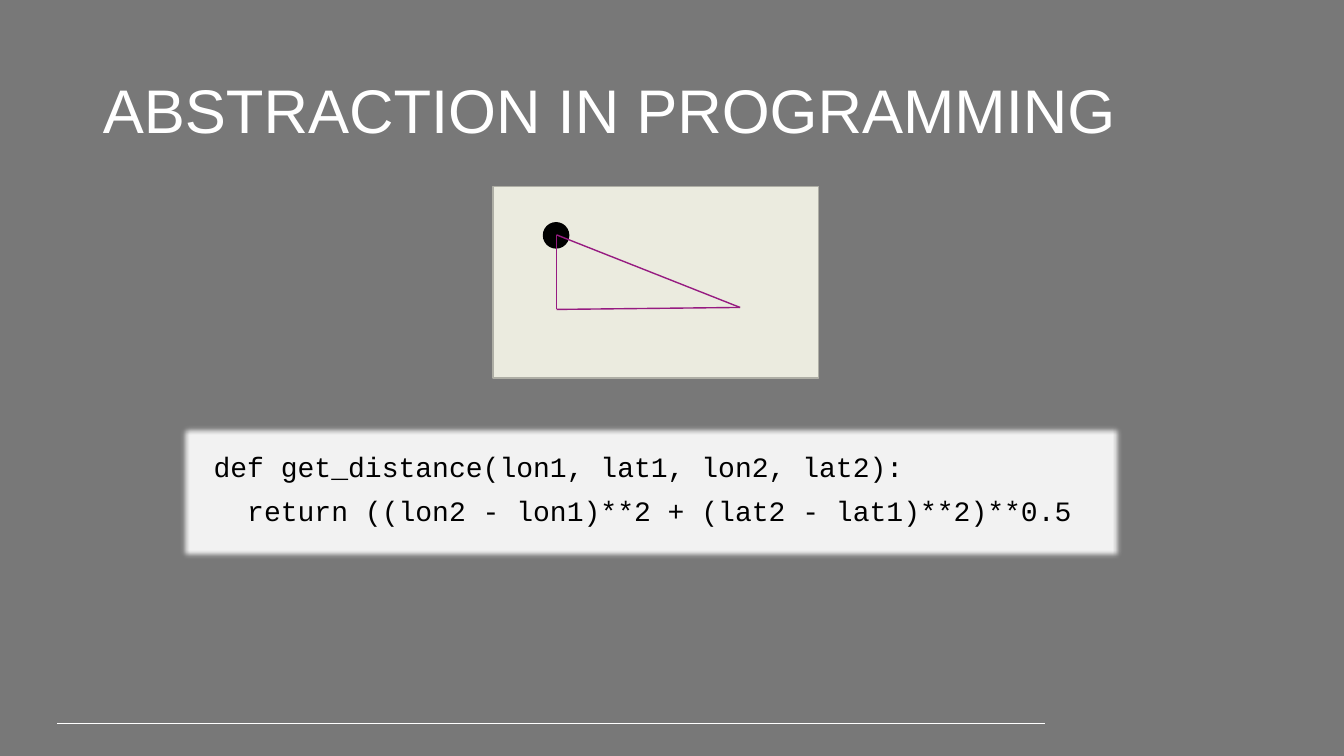
from dataclasses import dataclass

from lxml import etree
from pptx import Presentation
from pptx import util as u
from pptx.dml.color import RGBColor
from pptx.enum import shapes, text
from pptx.oxml.ns import qn

EMU_PER_PX = 9144


@dataclass(frozen=True)
class Theme:
    background: str = "787878"
    light: str = "FFFFFF"
    dark: str = "000000"
    panel: str = "EBEBDF"
    panel_edge: str = "AEAEA5"
    triangle: str = "961B81"
    code_panel: str = "F2F2F2"
    title_font: str = "Arial"
    code_font: str = "Courier New"
    title_size: int = 44
    code_size: int = 20
    line_spacing: float = 0.9
    code_space: int = 10
    code_border: int = 36
    code_soft_edge: int = 5


THEME = Theme()


@dataclass(frozen=True)
class Box:
    left: int
    top: int
    width: int
    height: int

    def emu(self):
        return [px(value) for value in (self.left, self.top, self.width, self.height)]


def px(value):
    return u.Emu(value * EMU_PER_PX)


def color(value):
    return RGBColor.from_string(value)


def add_run(paragraph, words, font, size, ink):
    paragraph.line_spacing = THEME.line_spacing
    run = paragraph.add_run()
    run.text = words
    run.font.name = font
    run.font.size = u.Pt(size)
    run.font.color.rgb = color(ink)


def add_filled_shape(slide, kind, box, fill, edge, edge_width=1):
    shape = slide.shapes.add_shape(kind, *box.emu())
    shape.shadow.inherit = False
    shape.fill.solid()
    shape.fill.fore_color.rgb = color(fill)
    shape.line.color.rgb = color(edge)
    shape.line.width = u.Pt(edge_width)
    return shape


def add_line(slide, start, end, ink, width=1):
    points = [px(value) for value in (*start, *end)]
    line = slide.shapes.add_connector(shapes.MSO_CONNECTOR.STRAIGHT, *points)
    line.line.color.rgb = color(ink)
    line.line.width = u.Pt(width)
    etree.SubElement(line._element.spPr, qn("a:effectLst"))


def add_title(slide, box, words):
    title = slide.shapes.title
    title.left, title.top, title.width, title.height = box.emu()
    frame = title.text_frame
    frame.word_wrap = True
    frame.auto_size = text.MSO_AUTO_SIZE.NONE
    frame.vertical_anchor = text.MSO_ANCHOR.MIDDLE
    paragraph = frame.paragraphs[0]
    paragraph.alignment = text.PP_ALIGN.LEFT
    add_run(paragraph, words, THEME.title_font, THEME.title_size, THEME.light)


def add_triangle_diagram(slide, box):
    add_filled_shape(slide, shapes.MSO_SHAPE.RECTANGLE, box, THEME.panel, THEME.panel_edge)
    dot = Box(box.left + 50, box.top + 36, 25, 25)
    add_filled_shape(slide, shapes.MSO_SHAPE.OVAL, dot, THEME.dark, THEME.dark)
    origin = (box.left + 63, box.top + 48)
    corner = (box.left + 63, box.top + 122)
    target = (box.left + 245, box.top + 120)
    for start, end in ((origin, target), (origin, corner), (corner, target)):
        add_line(slide, start, end, THEME.triangle)


def add_code(slide, box, lines):
    panel = add_filled_shape(slide, shapes.MSO_SHAPE.RECTANGLE, box, THEME.code_panel,
                             THEME.code_panel, THEME.code_border)
    etree.SubElement(panel.line._get_or_add_ln(), qn("a:miter"), lim="800000")
    effects = panel._element.spPr.find(qn("a:effectLst"))
    etree.SubElement(effects, qn("a:softEdge"), rad=str(u.Pt(THEME.code_soft_edge)))
    frame = panel.text_frame
    frame.word_wrap = True
    frame.auto_size = text.MSO_AUTO_SIZE.SHAPE_TO_FIT_TEXT
    frame.vertical_anchor = text.MSO_ANCHOR.TOP
    for index, line in enumerate(lines):
        paragraph = frame.add_paragraph() if index else frame.paragraphs[0]
        paragraph.alignment = text.PP_ALIGN.LEFT
        paragraph.space_before = u.Pt(THEME.code_space if index else 0)
        add_run(paragraph, line, THEME.code_font, THEME.code_size, THEME.dark)


def build_abstraction_slide(presentation):
    slide = presentation.slides.add_slide(presentation.slide_layouts[5])
    slide.background.fill.solid()
    slide.background.fill.fore_color.rgb = color(THEME.background)
    add_line(slide, (57, 718), (1036, 718), THEME.light, 0.75)
    add_title(slide, Box(92, 40, 1150, 145), "ABSTRACTION IN PROGRAMMING")
    add_triangle_diagram(slide, Box(489, 185, 323, 190))
    add_code(slide, Box(202, 445, 887, 86), (
        "def get_distance(lon1, lat1, lon2, lat2):",
        "  return ((lon2 - lon1)**2 + (lat2 - lat1)**2)**0.5",
    ))


def main():
    presentation = Presentation()
    presentation.slide_width = px(1333)
    presentation.slide_height = px(750)
    build_abstraction_slide(presentation)
    presentation.save("out.pptx")


if __name__ == "__main__":
    main()
